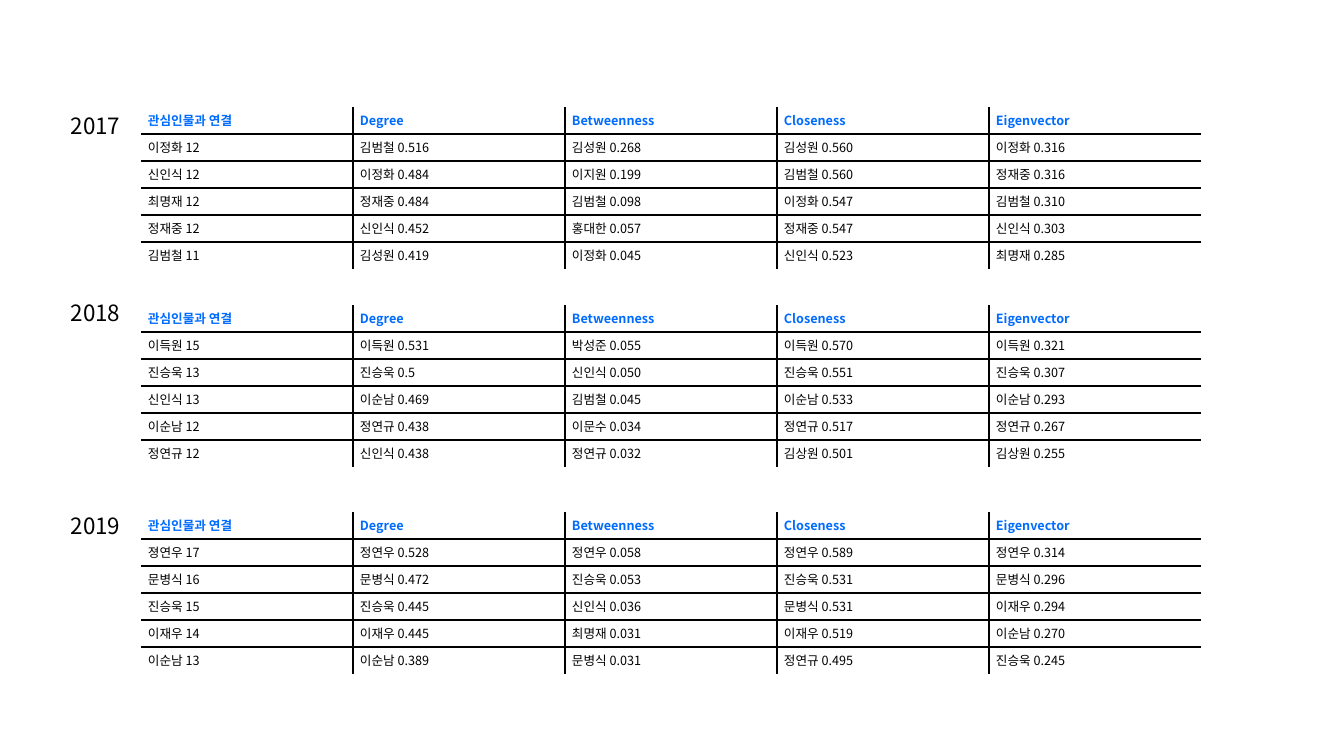
"""Build a slide of three yearly network centrality rankings."""
from lxml import etree
from pptx import Presentation
from pptx import util as u
from pptx.dml.color import RGBColor
from pptx.enum import text
from pptx.oxml.ns import qn

PX = 914400 / 100.8
FONT = "Noto Sans CJK KR"
COLORS = {"header": "006CFF", "ink": "000000"}
HEADERS = "관심인물과 연결, Degree, Betweenness, Closeness, Eigenvector"
LEFT, COLUMN, ROW = 141, 212, 27
RANKINGS = [
    ("2017", 107, 107, [
        "이정화 12, 김범철 0.516, 김성원 0.268, 김성원 0.560, 이정화 0.316",
        "신인식 12, 이정화 0.484, 이지원 0.199, 김범철 0.560, 정재중 0.316",
        "최명재 12, 정재중 0.484, 김범철 0.098, 이정화 0.547, 김범철 0.310",
        "정재중 12, 신인식 0.452, 홍대한 0.057, 정재중 0.547, 신인식 0.303",
        "김범철 11, 김성원 0.419, 이정화 0.045, 신인식 0.523, 최명재 0.285",
    ]),
    ("2018", 294, 305, [
        "이득원 15, 이득원 0.531, 박성준 0.055, 이득원 0.570, 이득원 0.321",
        "진승욱 13, 진승욱 0.5, 신인식 0.050, 진승욱 0.551, 진승욱 0.307",
        "신인식 13, 이순남 0.469, 김범철 0.045, 이순남 0.533, 이순남 0.293",
        "이순남 12, 정연규 0.438, 이문수 0.034, 정연규 0.517, 정연규 0.267",
        "정연규 12, 신인식 0.438, 정연규 0.032, 김상원 0.501, 김상원 0.255",
    ]),
    ("2019", 507, 512, [
        "졍연우 17, 정연우 0.528, 정연우 0.058, 정연우 0.589, 정연우 0.314",
        "문병식 16, 문병식 0.472, 진승욱 0.053, 진승욱 0.531, 문병식 0.296",
        "진승욱 15, 진승욱 0.445, 신인식 0.036, 문병식 0.531, 이재우 0.294",
        "이재우 14, 이재우 0.445, 최명재 0.031, 이재우 0.519, 이순남 0.270",
        "이순남 13, 이순남 0.389, 문병식 0.031, 정연규 0.495, 진승욱 0.245",
    ]),
]


def px(*lengths):
    return [u.Emu(round(length * PX)) for length in lengths]


def write(frame, words, size, color, align, bold=False):
    para = frame.paragraphs[0]
    para.text = words
    para.alignment = align
    font = para.runs[0].font
    font.size, font.bold, font.name = u.Pt(size), bold, FONT
    font.color.rgb = RGBColor.from_string(COLORS[color])
    etree.SubElement(font._element, qn("a:ea"), typeface=FONT)


deck = Presentation()
deck.slide_width, deck.slide_height = px(1344, 756)
page = deck.slides.add_slide(deck.slide_layouts[6])

for year, label_top, table_top, people in RANKINGS:
    rows = [line.split(", ") for line in [HEADERS, *people]]
    last_row, last_column = len(rows) - 1, len(rows[0]) - 1
    table = page.shapes.add_table(
        len(rows), len(rows[0]),
        *px(LEFT, table_top, COLUMN * len(rows[0]), ROW * len(rows))).table
    table.first_row = table.horz_banding = False
    for column in table.columns:
        column.width, = px(COLUMN)
    for r, values in enumerate(rows):
        table.rows[r].height, = px(ROW)
        for c, value in enumerate(values):
            cell = table.cell(r, c)
            cell.fill.background()
            cell.vertical_anchor = text.MSO_ANCHOR.MIDDLE
            cell.margin_left, cell.margin_right = px(7, 7)
            cell.margin_top = cell.margin_bottom = 0
            write(cell.text_frame, value, 9, "ink" if r else "header",
                  text.PP_ALIGN.JUSTIFY, bold=r == 0)
            inner = {"lnL": c > 0, "lnR": c < last_column,
                     "lnT": r > 0, "lnB": r < last_row}
            properties = cell._tc.get_or_add_tcPr()
            for place, (side, visible) in enumerate(inner.items()):
                border = etree.Element(qn(f"a:{side}"), w=str(u.Pt(1)))
                properties.insert(place, border)
                if visible:
                    fill = etree.SubElement(border, qn("a:solidFill"))
                    etree.SubElement(fill, qn("a:srgbClr"), val=COLORS["ink"])
                else:
                    etree.SubElement(border, qn("a:noFill"))

    box = page.shapes.add_textbox(*px(49, label_top, 93, 37))
    box.text_frame.word_wrap = True
    write(box.text_frame, year, 16, "ink", text.PP_ALIGN.CENTER)

deck.save("out.pptx")
